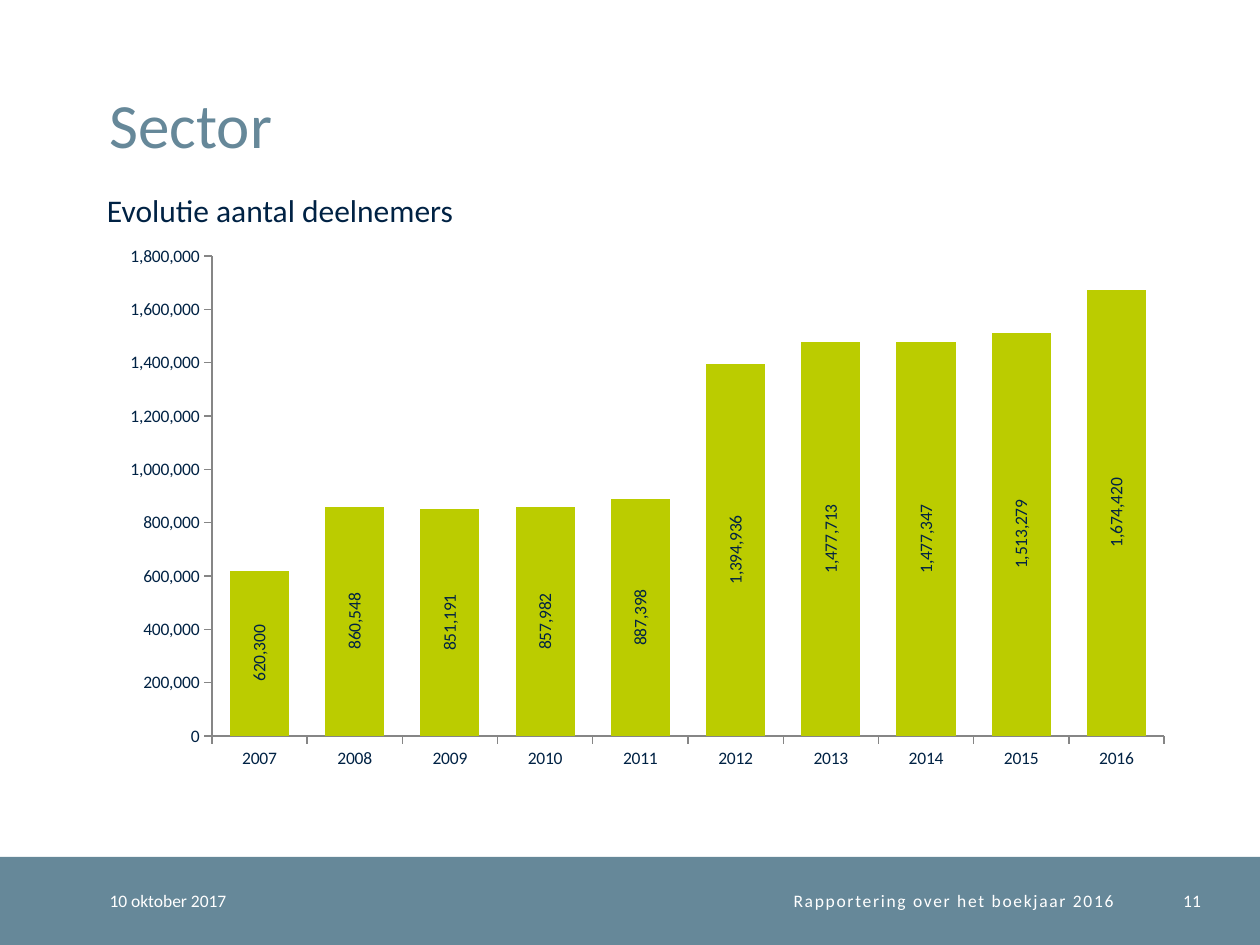
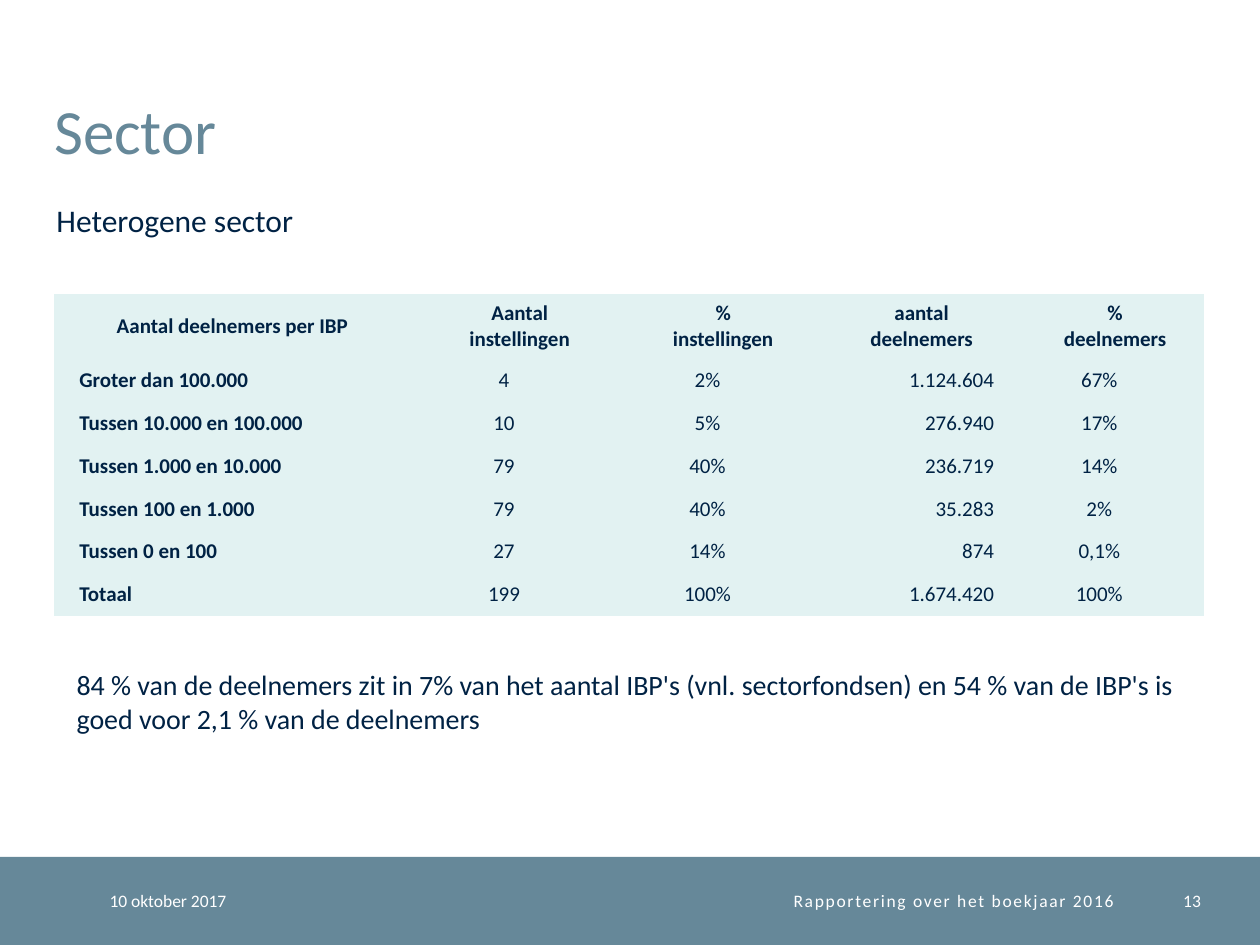
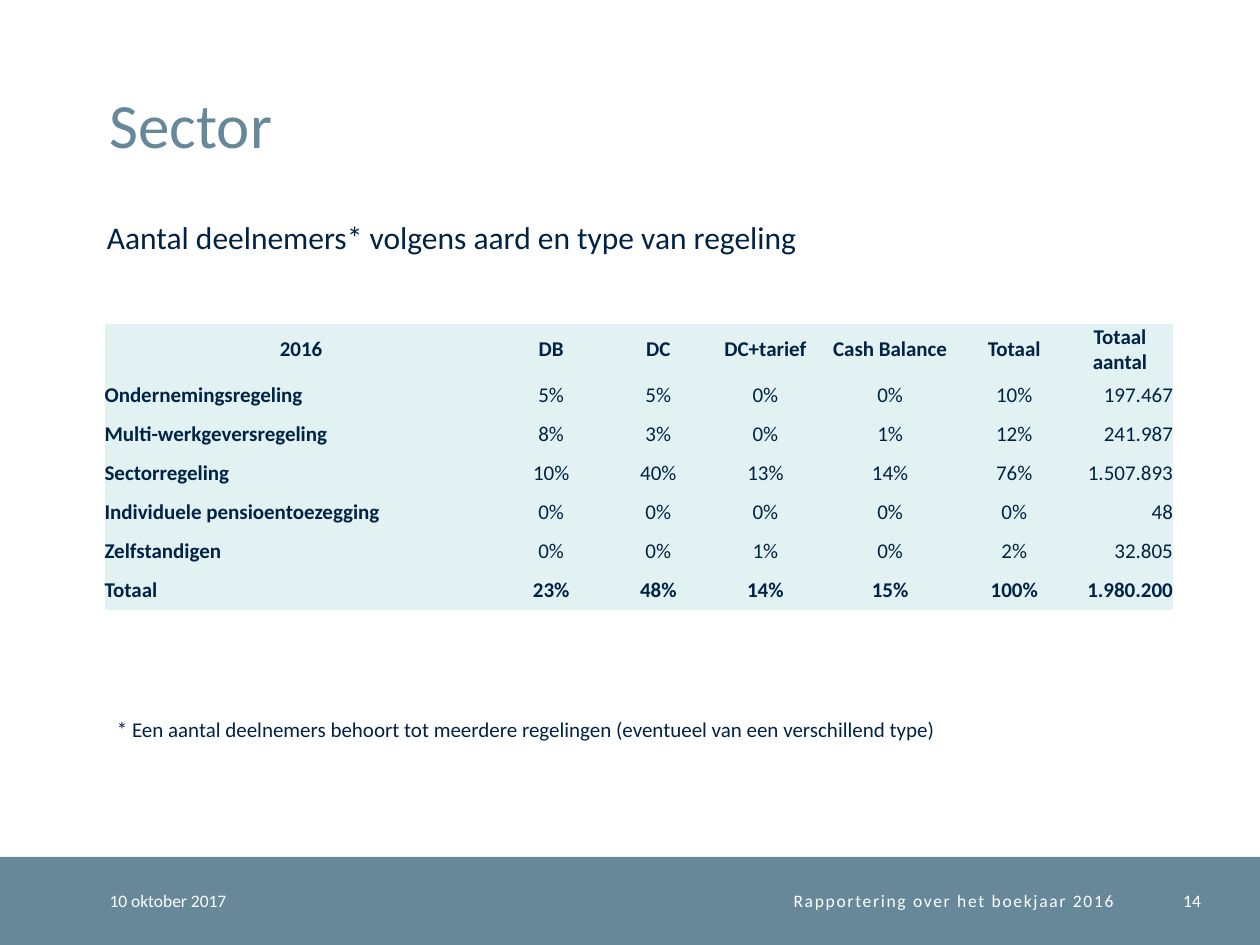
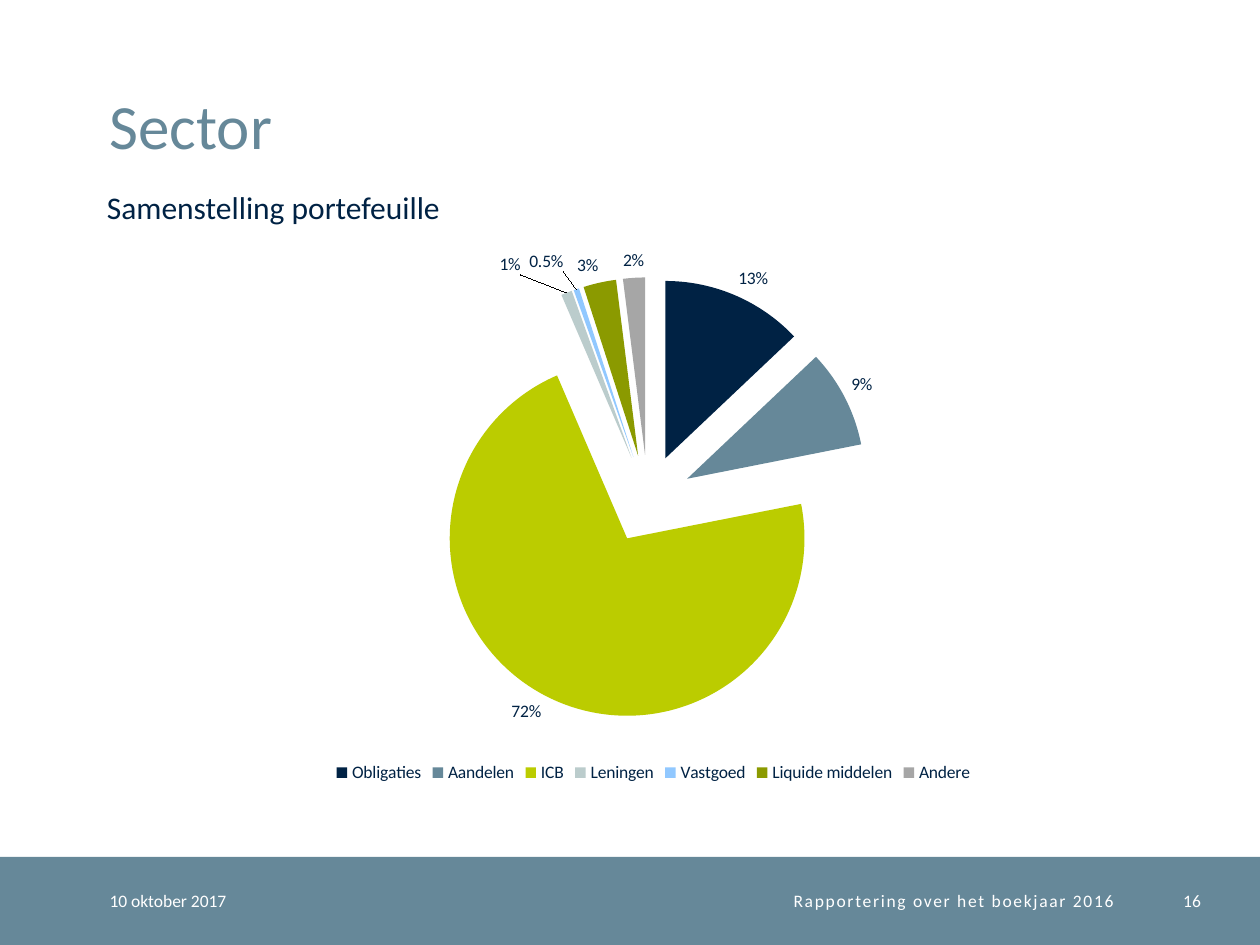
import dataclasses

import lxml.etree
import pptx
import pptx.chart.data
import pptx.dml.color
import pptx.enum.chart
import pptx.enum.shapes
import pptx.enum.text
import pptx.oxml.ns
import pptx.util

Inches = pptx.util.Inches
Pt = pptx.util.Pt
ALIGN = pptx.enum.text.PP_ALIGN
ANCHOR = pptx.enum.text.MSO_ANCHOR
qn = pptx.oxml.ns.qn


@dataclasses.dataclass(frozen=True)
class Theme:
    font: str = "Calibri"
    navy: str = "002244"
    slate: str = "668899"
    lime: str = "BBCC00"
    mist: str = "BBCCCC"
    sky: str = "91C8FF"
    olive: str = "8B9A00"
    gray: str = "A6A6A6"
    axis: str = "868686"
    table: str = "E2F2F2"
    white: str = "FFFFFF"
    title_size: int = 36
    subtitle_size: int = 18
    body_size: int = 16
    table_size: int = 12
    small_size: int = 10


def color(value):
    return pptx.dml.color.RGBColor.from_string(value)


def apply(target, **values):
    for name, value in values.items():
        setattr(target, name, value)


def chart_element(tag, **attributes):
    return lxml.etree.Element(qn(f"c:{tag}"), attributes)


def manual_layout(**values):
    layout = chart_element("layout")
    manual = chart_element("manualLayout")
    layout.append(manual)
    for tag, value in values.items():
        manual.append(chart_element(tag, val=str(value)))
    return layout


class Deck:
    def __init__(self, theme):
        self.theme = theme
        self.presentation = pptx.Presentation()
        apply(self.presentation, slide_width=Inches(10), slide_height=Inches(7.5))
        self.slide = None

    def add_slide(self, number, title_left=0.87, title_top=0.2):
        theme = self.theme
        self.slide = self.presentation.slides.add_slide(self.presentation.slide_layouts[6])
        self.band(0, 6.8, 10, 0.7)
        footer = dict(size=theme.small_size, ink=theme.white, inset=False, anchor=ANCHOR.MIDDLE)
        self.text("10 oktober 2017", 0.87, 6.8, 1.77, 0.7, **footer)
        self.text("Rapportering over het boekjaar 2016", 2.64, 6.8, 6.2, 0.7,
                  align=ALIGN.RIGHT, spacing=1, **footer)
        self.text(str(number), 9.04, 6.8, 0.49, 0.7, align=ALIGN.RIGHT, **footer)
        self.text("Sector", title_left, title_top, 8.63, 1.08, size=theme.title_size,
                  ink=theme.slate, inset=False, anchor=ANCHOR.BOTTOM, line=Pt(32))

    def band(self, left, top, width, height):
        shape = self.slide.shapes.add_shape(
            pptx.enum.shapes.MSO_SHAPE.RECTANGLE, *map(Inches, (left, top, width, height)))
        shape.shadow.inherit = False
        shape.fill.solid()
        shape.fill.fore_color.rgb = color(self.theme.slate)
        shape.line.fill.background()

    def style_font(self, font, size, ink, bold=False):
        apply(font, name=self.theme.font, size=Pt(size), bold=bold)
        font.color.rgb = color(ink)

    def text(self, content, left, top, width, height, size, ink=None, inset=True,
             anchor=ANCHOR.TOP, align=ALIGN.LEFT, line=None, spacing=0):
        box = self.slide.shapes.add_textbox(*map(Inches, (left, top, width, height)))
        frame = box.text_frame
        apply(frame, word_wrap=True, vertical_anchor=anchor)
        if not inset:
            apply(frame, margin_left=0, margin_top=0, margin_right=0, margin_bottom=0)
        paragraph = frame.paragraphs[0]
        apply(paragraph, alignment=align, line_spacing=line)
        run = paragraph.add_run()
        run.text = content
        self.style_font(run.font, size, ink or self.theme.navy)
        if spacing:
            run.font._element.set("spc", str(spacing * 100))

    def table(self, rows, left, top, widths, header_height, row_height,
              label_indent=0, value_margin=0, right_column=None, bold_last=False):
        heights = [header_height] + [row_height] * (len(rows) - 1)
        frame = self.slide.shapes.add_table(
            len(rows), len(widths), *map(Inches, (left, top, sum(widths), sum(heights))))
        table = frame.table
        apply(table, first_row=False, horz_banding=False)
        table._tbl.tblPr.find(qn("a:tableStyleId")).text = "{2D5ABB26-0587-4C30-8999-92F81FD0307C}"
        for column, width in zip(table.columns, widths):
            column.width = Inches(width)
        for row_index, (values, height) in enumerate(zip(rows, heights)):
            table.rows[row_index].height = Inches(height)
            header = row_index == 0
            last = row_index == len(rows) - 1
            for column_index, value in enumerate(values):
                label = column_index == 0 and not header
                align = ALIGN.CENTER
                if label:
                    align = ALIGN.LEFT
                elif column_index == right_column and not header:
                    align = ALIGN.RIGHT
                cell = table.cell(row_index, column_index)
                apply(cell, text=value, vertical_anchor=ANCHOR.MIDDLE, margin_top=0, margin_bottom=0,
                      margin_left=Inches(label_indent if label else 0),
                      margin_right=Inches(0 if header or label else value_margin))
                cell.fill.solid()
                cell.fill.fore_color.rgb = color(self.theme.table)
                for paragraph in cell.text_frame.paragraphs:
                    paragraph.alignment = align
                    for run in paragraph.runs:
                        self.style_font(run.font, self.theme.table_size, self.theme.navy,
                                        header or label or (last and bold_last))

    def chart(self, kind, values, left, top, width, height, plot_area, number_format):
        data = pptx.chart.data.CategoryChartData(number_format=number_format)
        data.categories = list(values)
        data.add_series("Series 1", list(values.values()))
        chart = self.slide.shapes.add_chart(
            kind, *map(Inches, (left, top, width, height)), data).chart
        apply(chart, has_title=False, has_legend=False)
        self.style_font(chart.font, self.theme.small_size, self.theme.navy)
        area = chart._chartSpace.chart.plotArea
        for layout in area.findall(qn("c:layout")):
            area.remove(layout)
        x, y, plot_width, plot_height = plot_area
        area.insert(0, manual_layout(layoutTarget="inner", xMode="edge", yMode="edge",
                                     x=x, y=y, w=plot_width, h=plot_height))
        series = chart.plots[0].series[0]
        labels = series.data_labels
        apply(labels, show_value=True, number_format=number_format, number_format_is_linked=False)
        self.style_font(labels.font, self.theme.small_size, self.theme.navy)
        return chart, series

    def column_chart(self, values, *place):
        chart, series = self.chart(pptx.enum.chart.XL_CHART_TYPE.COLUMN_STACKED, values, *place,
                                   plot_area=(0.095, 0.04, 0.885, 0.88), number_format="#,##0")
        apply(chart.plots[0], gap_width=61, overlap=100, vary_by_categories=False)
        series.format.fill.solid()
        series.format.fill.fore_color.rgb = color(self.theme.lime)
        properties = series.data_labels._element.find(qn("c:txPr")).find(qn("a:bodyPr"))
        properties.set("rot", "-5400000")
        properties.set("vert", "horz")
        apply(chart.value_axis, minimum_scale=0, maximum_scale=1800000, major_unit=200000)
        apply(chart.value_axis.tick_labels, number_format="#,##0", number_format_is_linked=False)
        for axis in (chart.category_axis, chart.value_axis):
            apply(axis, has_major_gridlines=False,
                  major_tick_mark=pptx.enum.chart.XL_TICK_MARK.OUTSIDE,
                  minor_tick_mark=pptx.enum.chart.XL_TICK_MARK.NONE)
            axis.format.line.color.rgb = color(self.theme.axis)

    def pie_chart(self, values, colors, moved_labels, *place):
        chart, series = self.chart(pptx.enum.chart.XL_CHART_TYPE.PIE, values, *place,
                                   plot_area=(0.29, 0.08, 0.41, 0.8), number_format="0%")
        chart.plots[0].vary_by_categories = True
        chart.has_legend = True
        apply(chart.legend, position=pptx.enum.chart.XL_LEGEND_POSITION.BOTTOM,
              include_in_layout=False)
        self.style_font(chart.legend.font, self.theme.small_size, self.theme.navy)
        outside = pptx.enum.chart.XL_LABEL_POSITION.OUTSIDE_END
        series.data_labels.position = outside
        series._element.find(qn("c:tx")).addnext(chart_element("explosion", val="25"))
        for index, slice_color in enumerate(colors):
            fill = series.points[index].format.fill
            fill.solid()
            fill.fore_color.rgb = color(slice_color)
        for index, (x, y, number_format) in moved_labels.items():
            label = series.points[index].data_label
            label.position = outside
            self.style_font(label.font, self.theme.small_size, self.theme.navy)
            element = series.data_labels._element.xpath(f"c:dLbl[c:idx/@val='{index}']")[0]
            element.insert(1, manual_layout(x=x, y=y))
            element.insert(2, chart_element("numFmt", formatCode=number_format, sourceLinked="0"))


def main():
    theme = Theme()
    deck = Deck(theme)

    deck.add_slide(11)
    deck.text("Evolutie aantal deelnemers", 0.75, 1.47, 8.98, 0.57, theme.subtitle_size)
    participants = [620300, 860548, 851191, 857982, 887398,
                    1394936, 1477713, 1477347, 1513279, 1674420]
    deck.column_chart({str(2007 + index): count for index, count in enumerate(participants)},
                      0.87, 1.86, 8.54, 4.33)

    deck.add_slide(13, 0.43, 0.25)
    deck.text("Heterogene sector", 0.35, 1.55, 3.23, 0.4, theme.subtitle_size)
    deck.table([
        ["Aantal deelnemers per IBP", "Aantal\ninstellingen", "%\ninstellingen",
         "aantal\ndeelnemers", "%\ndeelnemers"],
        ["Groter dan 100.000", "4", "2%", "1.124.604", "67%"],
        ["Tussen 10.000 en 100.000", "10", "5%", "276.940", "17%"],
        ["Tussen 1.000 en 10.000", "79", "40%", "236.719", "14%"],
        ["Tussen 100 en 1.000", "79", "40%", "35.283", "2%"],
        ["Tussen 0 en 100", "27", "14%", "874", "0,1%"],
        ["Totaal", "199", "100%", "1.674.420", "100%"],
    ], 0.43, 2.33, [2.83, 1.73, 1.5, 1.65, 1.42], 0.52, 0.34,
        label_indent=0.2, value_margin=0.25, right_column=3)
    deck.text("84 % van de deelnemers zit in 7% van het aantal IBP's (vnl. sectorfondsen) "
              "en 54 % van de IBP's is goed voor 2,1 % van de deelnemers",
              0.51, 5.25, 9.06, 0.64, theme.body_size)

    deck.add_slide(14)
    deck.text("Aantal deelnemers* volgens aard en type van regeling",
              0.75, 1.68, 8.43, 0.4, theme.subtitle_size)
    deck.table([
        ["2016", "DB", "DC", "DC+tarief", "Cash Balance", "Totaal", "Totaal aantal"],
        ["Ondernemingsregeling", "5%", "5%", "0%", "0%", "10%", "197.467"],
        ["Multi-werkgeversregeling", "8%", "3%", "0%", "1%", "12%", "241.987"],
        ["Sectorregeling", "10%", "40%", "13%", "14%", "76%", "1.507.893"],
        ["Individuele pensioentoezegging", "0%", "0%", "0%", "0%", "0%", "48"],
        ["Zelfstandigen", "0%", "0%", "1%", "0%", "2%", "32.805"],
        ["Totaal", "23%", "48%", "14%", "15%", "100%", "1.980.200"],
    ], 0.83, 2.57, [3.12, 0.85, 0.85, 0.85, 1.13, 0.84, 0.84], 0.41, 0.31,
        right_column=6, bold_last=True)
    deck.text("* Een aantal deelnemers behoort tot meerdere regelingen "
              "(eventueel van een verschillend type)", 0.83, 5.64, 8.74, 0.3, theme.table_size)

    deck.add_slide(16, title_top=0.21)
    deck.text("Samenstelling portefeuille", 0.75, 1.44, 3.85, 0.4, theme.subtitle_size)
    portfolio = {"Obligaties": 0.13, "Aandelen": 0.09, "ICB": 0.72, "Leningen": 0.01,
                 "Vastgoed": 0.005, "Liquide middelen": 0.03, "Andere": 0.02}
    slice_colors = [theme.navy, theme.slate, theme.lime, theme.mist,
                    theme.sky, theme.olive, theme.gray]
    deck.pie_chart(portfolio, slice_colors, {3: (-0.04, -0.02, "0%"), 4: (-0.01, -0.02, "0.0%")},
                   0.87, 1.85, 8.63, 4.4)

    deck.presentation.save("out.pptx")


if __name__ == "__main__":
    main()
